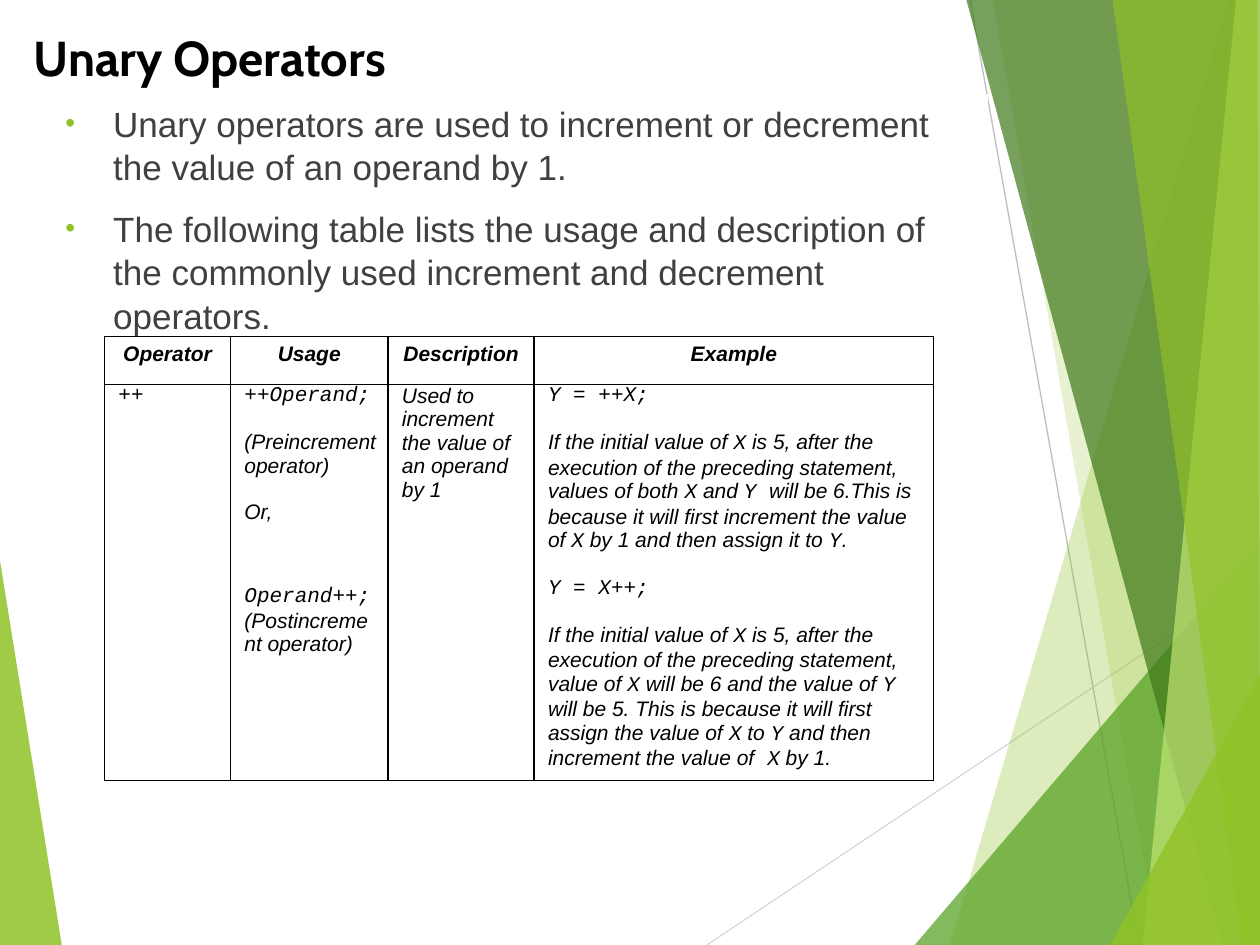
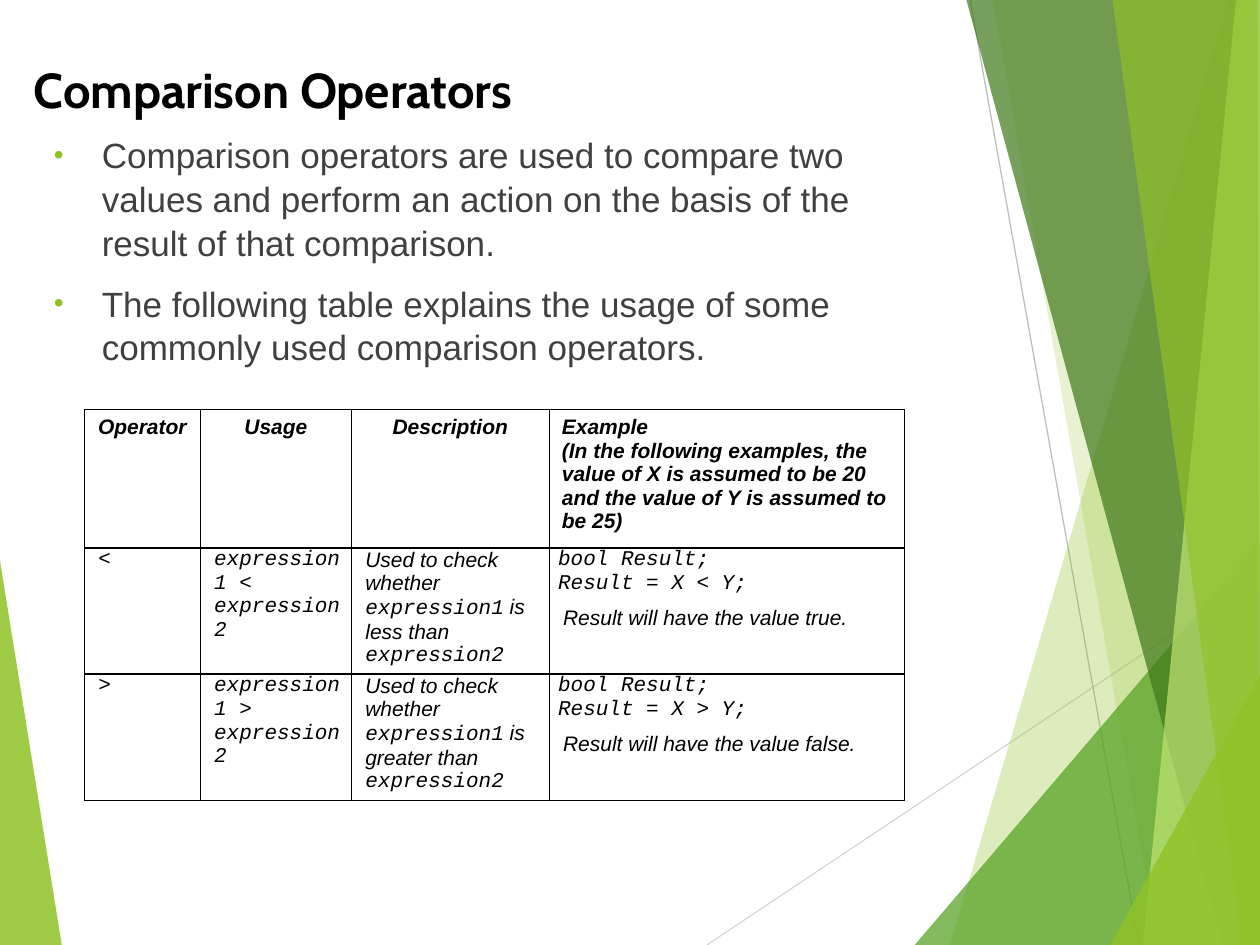
from lxml import etree
from pptx import Presentation
from pptx.dml.color import RGBColor
from pptx.enum import shapes, text
from pptx.oxml import ns
from pptx.util import Inches, Pt

COLORS = {
    "lime": "90C226", "green": "54A021", "forest": "3F7819", "pale": "C0E474",
    "black": "000000", "body": "404040", "white": "FFFFFF",
    "light_rule": "D9D9D9", "rule": "BFBFBF",
}

# Shared text formats
TITLE = {"name": "Cabin", "size": Pt(28), "bold": True}
BODY = {"name": "Arial", "size": Pt(20)}
HEADER = {"name": "Arial", "size": Pt(12), "bold": True, "italic": True}
CELL = {**HEADER, "bold": False}
HEADER_MARGINS = {"margin_left": 0.1, "margin_top": 0.05, "margin_right": 0.1, "margin_bottom": 0.05}
CELL_MARGINS = {"margin_left": 0.07, "margin_top": 0, "margin_right": 0.07, "margin_bottom": 0}
CELL_SPACING = {"space_before": Pt(6), "space_after": Pt(7)}
BULLET_SPACING = {"space_before": Pt(10), "line_spacing": 1.04}

# Background facets: colour, opacity in percent, corners
FACETS = [
    ("lime", 85, [(0, 4.45), (0.49, 7.5), (0, 7.5)]),
    ("lime", 30, [(9.75, 0), (7.54, 7.5), (10, 7.5), (10, 0)]),
    ("lime", 20, [(7.88, 0), (9.19, 7.5), (10, 7.5), (10, 0)]),
    ("green", 72, [(7.26, 7.5), (10, 4.29), (10, 7.5)]),
    ("forest", 70, [(7.67, 0), (9.7, 7.5), (10, 7.5), (10, 0)]),
    ("pale", 70, [(9.81, 0), (9.07, 7.5), (10, 7.5), (10, 0)]),
    ("lime", 65, [(8.83, 0), (9.86, 7.5), (10, 7.5), (9.98, 0)]),
    ("lime", 80, [(8.81, 7.5), (10, 5.36), (10, 7.5)]),
]
RULES = [("light_rule", (5.61, 7.5, 10, 4.57)), ("rule", (7.7, 0, 9.04, 7.5))]

# Content: backticks enclose code, a leading bar marks an unindented line
SLIDES = [
    {
        "title": "Unary Operators", "title_top": 0.17,
        "body_box": (0.42, 0.75, 7.42, 4.17),
        "bullets": [
            "Unary operators are used to increment or decrement the value of an operand by 1.",
            "The following table lists the usage and description of the commonly used "
            "increment and decrement operators.",
        ],
        "table_at": (0.83, 2.67), "columns": [1, 1.25, 1.16, 3.17], "rows": [0.38, 3.14],
        "cells": [
            [["Operator"], ["Usage"], ["Description"], ["Example"]],
            [
                ["`++`"],
                ["`++Operand;`", "(Preincrement operator)", "Or,",
                 "\v`Operand++; `(Postincrement operator)"],
                ["Used to increment the value of an operand by 1"],
                ["`Y = ++X;`",
                 "If the initial value of `X` is 5, after the execution of the preceding "
                 "statement, values of both `X` and `Y `will be 6.This is because it will "
                 "first increment the value of `X` by 1 and then assign it to `Y`.",
                 "`Y = X++;`",
                 "If the initial value of `X` is 5, after the execution of the preceding "
                 "statement, value of `X` will be 6 and the value of `Y` will be 5. This is "
                 "because it will first assign the value of `X` to `Y` and then increment "
                 "the value of` X` by 1."],
            ],
        ],
    },
    {
        "title": "Comparison Operators", "title_top": 0.42,
        "body_box": (0.33, 1, 7.24, 4.83),
        "bullets": [
            "Comparison operators are used to compare two values and perform an action on "
            "the basis of the result of that comparison.",
            "The following table explains the usage of some commonly used comparison operators.",
        ],
        "table_at": (0.67, 3.25), "columns": [0.92, 1.2, 1.57, 2.82], "rows": [1.1, 1, 1],
        "cells": [
            [["Operator"], ["Usage"], ["Description"],
             ["Example", "(In the following examples, the value of X is assumed to be 20 "
                         "and the value of Y is assumed to be 25)"]],
        ] + [
            [[f"`{sign}`"], [f"`expression1 {sign} expression2`"],
             [f"Used to check whether `expression1` is {meaning} than `expression2`"],
             ["|`bool Result;`", f"|`Result = X {sign} Y;`",
              f"Result will have the value {outcome}."]]
            for sign, meaning, outcome in [("<", "less", "true"), (">", "greater", "false")]
        ],
    },
]


def add_xml(parent, tag, **attributes):
    return etree.SubElement(parent, ns.qn(tag), attributes)


def write(paragraph, content, font_format, color):
    """Write text into a paragraph, with the parts between backticks as code."""
    for part, piece in enumerate(content.split("`")):
        if piece.startswith("\v"):
            paragraph.add_line_break()
            piece = piece[1:]
        if not piece:
            continue
        run = paragraph.add_run()
        run.text = piece
        for attribute, value in font_format.items():
            setattr(run.font, attribute, value)
        if part % 2:
            run.font.name = "Courier New"
        run.font.color.rgb = RGBColor.from_string(COLORS[color])


deck = Presentation()
deck.slide_width, deck.slide_height = Inches(10), Inches(7.5)

for content in SLIDES:
    slide = deck.slides.add_slide(deck.slide_layouts[6])

    # Background: left facet, two thin rules, then the right facets
    for number, (color, opacity, corners) in enumerate(FACETS):
        points = [(Inches(x), Inches(y)) for x, y in corners]
        builder = slide.shapes.build_freeform(*points[0], scale=1.0)
        builder.add_line_segments(points[1:], close=True)
        facet = builder.convert_to_shape()
        facet.shadow.inherit = False
        facet.line.fill.background()
        facet.fill.solid()
        facet.fill.fore_color.rgb = RGBColor.from_string(COLORS[color])
        tint = facet._element.spPr.find(f".//{ns.qn('a:srgbClr')}")
        add_xml(tint, "a:alpha", val=str(opacity * 1000))
        if number == 0:
            for rule_color, ends in RULES:
                rule = slide.shapes.add_connector(
                    shapes.MSO_CONNECTOR.STRAIGHT, *[Inches(end) for end in ends])
                rule.line.color.rgb = RGBColor.from_string(COLORS[rule_color])
                rule.line.width = Pt(0.75)
                add_xml(rule._element.spPr, "a:effectLst")

    # Bulleted introduction
    intro = slide.shapes.add_textbox(*[Inches(side) for side in content["body_box"]])
    intro.fill.solid()
    intro.fill.fore_color.rgb = RGBColor.from_string(COLORS["white"])
    intro.text_frame.word_wrap = True
    for number, sentence in enumerate(content["bullets"]):
        bullet = intro.text_frame.add_paragraph() if number else intro.text_frame.paragraphs[0]
        write(bullet, sentence, BODY, "body")
        for attribute, value in BULLET_SPACING.items():
            setattr(bullet, attribute, value)
        properties = bullet._p.get_or_add_pPr()
        properties.set("marL", str(Inches(0.38)))
        properties.set("indent", str(-Inches(0.38)))
        add_xml(add_xml(properties, "a:buClr"), "a:srgbClr", val=COLORS["lime"])
        add_xml(properties, "a:buSzPct", val="80000")
        add_xml(properties, "a:buFont", typeface="Arial")
        add_xml(properties, "a:buChar", char="•")

    # Title
    title = slide.shapes.add_textbox(
        Inches(0.17), Inches(content["title_top"]), Inches(9.58), Inches(0.57))
    title.text_frame.word_wrap = True
    title.text_frame.auto_size = text.MSO_AUTO_SIZE.SHAPE_TO_FIT_TEXT
    write(title.text_frame.paragraphs[0], content["title"], TITLE, "black")

    # Operator table
    columns, rows = content["columns"], content["rows"]
    left, top = content["table_at"]
    operators = slide.shapes.add_table(
        len(rows), len(columns), Inches(left), Inches(top),
        Inches(sum(columns)), Inches(sum(rows))).table
    operators.first_row = operators.horz_banding = False
    for column, width in zip(operators.columns, columns):
        column.width = Inches(width)
    for row, height in zip(operators.rows, rows):
        row.height = Inches(height)

    for row_number, row_cells in enumerate(content["cells"]):
        is_header = row_number == 0
        for column_number, lines in enumerate(row_cells):
            cell = operators.cell(row_number, column_number)
            for attribute, inset in (HEADER_MARGINS if is_header else CELL_MARGINS).items():
                setattr(cell, attribute, Inches(inset))
            for side in ("a:lnL", "a:lnR", "a:lnT", "a:lnB"):
                border = add_xml(cell._tc.get_or_add_tcPr(), side, w=str(Pt(1)))
                add_xml(add_xml(border, "a:solidFill"), "a:srgbClr", val=COLORS["black"])
            cell.fill.background()

            for number, line in enumerate(lines):
                frame = cell.text_frame
                paragraph = frame.add_paragraph() if number else frame.paragraphs[0]
                write(paragraph, line.removeprefix("|"), HEADER if is_header else CELL, "black")
                if is_header:
                    if len(lines) == 1:
                        paragraph.alignment = text.PP_ALIGN.CENTER
                elif not line.startswith("|"):
                    paragraph._p.get_or_add_pPr().set("marL", str(Inches(0.04)))
                    for attribute, value in CELL_SPACING.items():
                        setattr(paragraph, attribute, value)

deck.save("out.pptx")
